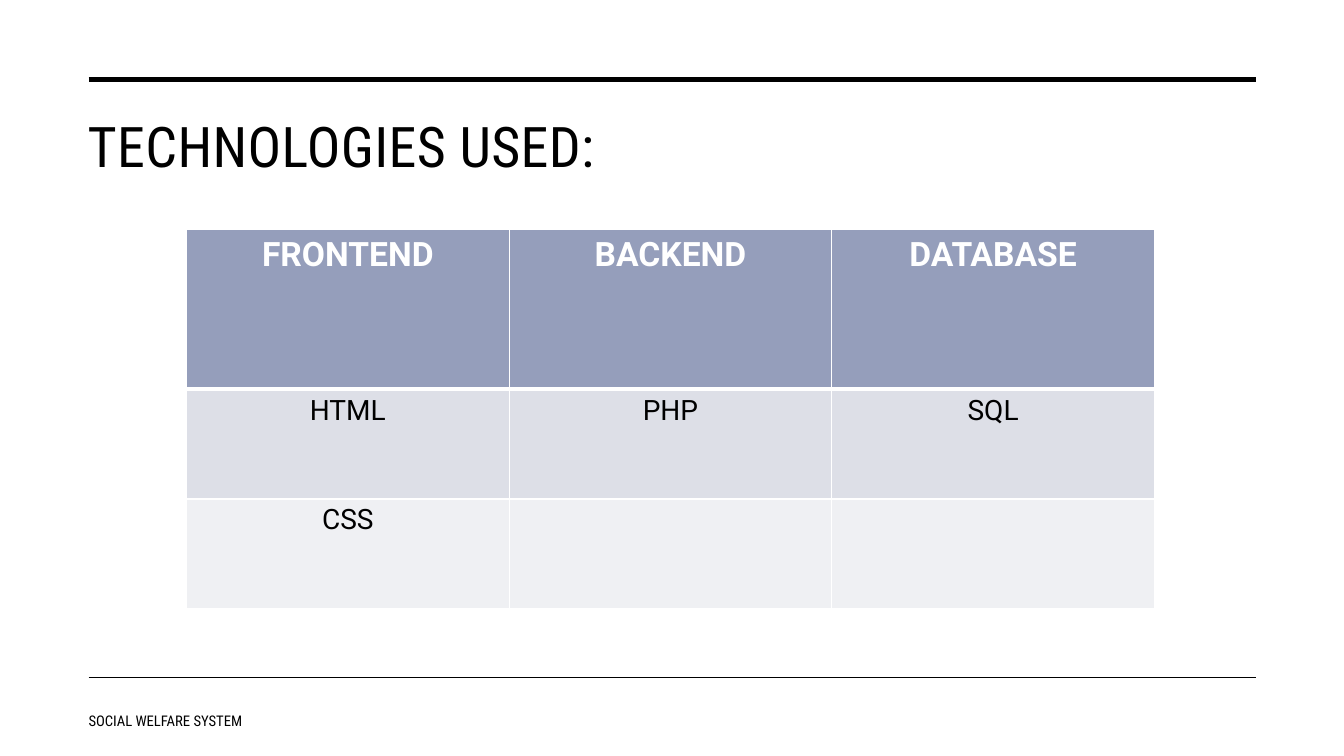
from dataclasses import dataclass

from lxml import etree
from pptx import Presentation
from pptx.dml.color import RGBColor
from pptx.enum.shapes import MSO_CONNECTOR
from pptx.enum.text import MSO_ANCHOR, MSO_AUTO_SIZE, PP_ALIGN
from pptx.oxml.ns import qn
from pptx.slide import Slide
from pptx.table import _Cell
from pptx.text.text import TextFrame
from pptx.util import Emu, Inches, Pt

STRAIGHT = MSO_CONNECTOR.STRAIGHT
MIDDLE = MSO_ANCHOR.MIDDLE
LEFT, CENTER = PP_ALIGN.LEFT, PP_ALIGN.CENTER
NO_AUTOFIT = MSO_AUTO_SIZE.NONE

BLACK = RGBColor(0x00, 0x00, 0x00)
WHITE = RGBColor(0xFF, 0xFF, 0xFF)
HEADING_BLUE = RGBColor(0x95, 0x9E, 0xBB)
BAND_DARK = RGBColor(0xDD, 0xDF, 0xE7)
BAND_LIGHT = RGBColor(0xEF, 0xF0, 0xF3)

SLIDE_WIDTH, SLIDE_HEIGHT = Inches(13.33), Inches(7.5)
RULE_LEFT, RULE_RIGHT = 0.88, 12.46
TABLE_LEFT, TABLE_TOP = 1.85, 2.28
COLUMN_WIDTH = 3.2


@dataclass(frozen=True)
class Rule:
    y: float
    weight: float


@dataclass(frozen=True)
class TextStyle:
    font: str
    size: float
    color: RGBColor
    bold: bool = False
    align: PP_ALIGN = LEFT


@dataclass(frozen=True)
class TechnologyRow:
    entries: tuple[str, str, str]
    height: float
    fill: RGBColor
    style: TextStyle
    top_border: float = 1
    bottom_border: float = 1


TITLE_STYLE = TextStyle("Roboto Condensed", 40, BLACK)
FOOTER_STYLE = TextStyle("Roboto Condensed", 10.5, BLACK)
HEADING_STYLE = TextStyle("Roboto", 24, WHITE, True, CENTER)
ENTRY_STYLE = TextStyle("Roboto", 20, BLACK, False, CENTER)

RULES = (Rule(0.79, 3.5), Rule(6.72, 1))
TECHNOLOGIES = (
    TechnologyRow(("FRONTEND", "BACKEND", "DATABASE"), 1.58, HEADING_BLUE,
                  HEADING_STYLE, bottom_border=3),
    TechnologyRow(("HTML", "PHP", "SQL"), 1.09, BAND_DARK, ENTRY_STYLE, top_border=3),
    TechnologyRow(("CSS", "", ""), 1.09, BAND_LIGHT, ENTRY_STYLE),
)


def write(frame: TextFrame, words: str, style: TextStyle) -> None:
    paragraph = frame.paragraphs[0]
    paragraph.alignment = style.align
    if not words:
        paragraph.font.size = Pt(style.size)
        return
    run = paragraph.add_run()
    run.text = words
    formats = {"name": style.font, "size": Pt(style.size), "bold": style.bold}
    for attribute, value in formats.items():
        setattr(run.font, attribute, value)
    run.font.color.rgb = style.color


def draw_rule(slide: Slide, rule: Rule) -> None:
    connector = slide.shapes.add_connector(
        STRAIGHT, Inches(RULE_LEFT), Inches(rule.y), Inches(RULE_RIGHT), Inches(rule.y))
    connector.line.color.rgb = BLACK
    connector.line.width = Pt(rule.weight)
    etree.SubElement(connector._element.spPr, qn("a:effectLst"))


def draw_title(slide: Slide, words: str) -> None:
    title = slide.shapes.title
    place = {"left": 0.77, "top": 0.99, "width": 11.69, "height": 0.89}
    for attribute, value in place.items():
        setattr(title, attribute, Inches(value))
    frame = title.text_frame
    for attribute, value in {"word_wrap": True, "auto_size": NO_AUTOFIT,
                             "vertical_anchor": MIDDLE}.items():
        setattr(frame, attribute, value)
    write(frame, words, TITLE_STYLE)
    frame.paragraphs[0].runs[0].font._element.set("spc", "30")


def draw_footer(slide: Slide, words: str) -> None:
    footer = slide.shapes.add_textbox(Inches(0.78), Inches(6.95), Inches(4.96), Inches(0.4))
    footer.text_frame.word_wrap = True
    footer.text_frame.vertical_anchor = MIDDLE
    write(footer.text_frame, words, FOOTER_STYLE)


def set_borders(cell: _Cell, row: TechnologyRow) -> None:
    properties = cell._tc.get_or_add_tcPr()
    weights = {"a:lnL": 1, "a:lnR": 1, "a:lnT": row.top_border, "a:lnB": row.bottom_border}
    for edge, weight in weights.items():
        border = etree.SubElement(properties, qn(edge), w=str(Pt(weight)))
        fill = etree.SubElement(border, qn("a:solidFill"))
        etree.SubElement(fill, qn("a:srgbClr"), val=str(WHITE))


def draw_technologies(slide: Slide) -> None:
    column_count = len(TECHNOLOGIES[0].entries)
    table = slide.shapes.add_table(
        len(TECHNOLOGIES), column_count, Inches(TABLE_LEFT), Inches(TABLE_TOP),
        Emu(column_count * Inches(COLUMN_WIDTH)),
        Inches(sum(row.height for row in TECHNOLOGIES))).table
    for column in table.columns:
        column.width = Inches(COLUMN_WIDTH)
    for row_index, row in enumerate(TECHNOLOGIES):
        table.rows[row_index].height = Inches(row.height)
        for column_index, entry in enumerate(row.entries):
            cell = table.cell(row_index, column_index)
            set_borders(cell, row)
            cell.fill.solid()
            cell.fill.fore_color.rgb = row.fill
            write(cell.text_frame, entry, row.style)


def main() -> None:
    presentation = Presentation()
    presentation.slide_width = SLIDE_WIDTH
    presentation.slide_height = SLIDE_HEIGHT
    slide = presentation.slides.add_slide(presentation.slide_layouts.get_by_name("Title Only"))
    slide.background.fill.solid()
    slide.background.fill.fore_color.rgb = WHITE
    for rule in RULES:
        draw_rule(slide, rule)
    draw_title(slide, "TECHNOLOGIES USED:")
    draw_footer(slide, "SOCIAL WELFARE SYSTEM")
    draw_technologies(slide)
    presentation.save("out.pptx")


if __name__ == "__main__":
    main()
